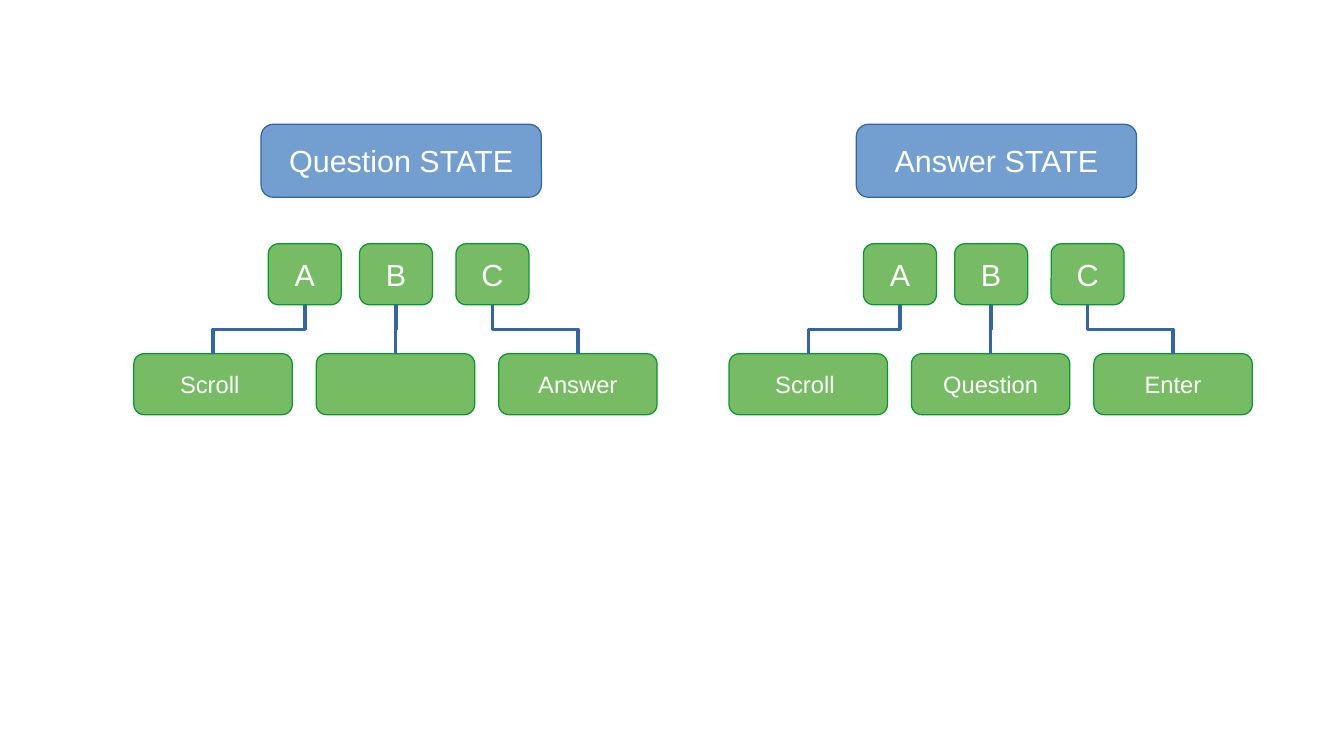
from pptx import Presentation
from pptx.dml.color import RGBColor as RGB
from pptx.enum.shapes import MSO_CONNECTOR as CONN, MSO_SHAPE as SHAPE
from pptx.enum.text import MSO_ANCHOR as ANCHOR, PP_ALIGN as ALIGN
from pptx.oxml.ns import qn
from pptx.util import Cm, Pt
from lxml import etree

COLORS = {
    "state": "729FCF",
    "state_line": "3465A4",
    "button": "77BC65",
    "button_line": "069A2E",
    "text": "FFFFFF",
}
BOTTOM, TOP = 2, 0  # connection sites of a rounded rectangle
STATE_GAP = 12.4
KEYS = {"A": 5.59, "B": 7.49, "C": 9.5}
ACTION_LEFT, ACTION_STEP = 2.79, 3.8
STATES = [
    ("Question STATE", ["Scroll ", "", "Answer"]),
    ("Answer STATE", ["Scroll ", "Question", "Enter"]),
]


def color(name):
    return RGB.from_string(COLORS[name])


def write(tf, text, size=18, font="Arial", fill="text", align=ALIGN.CENTER):
    tf.word_wrap = False
    tf.vertical_anchor = ANCHOR.MIDDLE
    p = tf.paragraphs[0]
    p.alignment = align
    r = p.add_run()
    r.text = text
    r.font.size = Pt(size)
    r.font.name = font
    r.font.color.rgb = color(fill)


class Diagram:
    """Holds the slide and the shared look of boxes and links."""

    def __init__(self, slide, line_width=0):
        self.slide = slide
        self.line_width = Pt(line_width)

    def outline(self, line, name):
        line.color.rgb = color(name)
        line.width = self.line_width

    def box(self, text, x, y, w, h, kind="button", **fmt):
        sp = self.slide.shapes.add_shape(
            SHAPE.ROUNDED_RECTANGLE, Cm(x), Cm(y), Cm(w), Cm(h))
        sp.shadow.inherit = False
        sp.fill.solid()
        sp.fill.fore_color.rgb = color(kind)
        self.outline(sp.line, kind + "_line")
        if text:
            write(sp.text_frame, text, **fmt)
        return sp

    def link(self, upper, lower):
        """Joins two boxes with an elbow that leaves and arrives vertically."""
        x1, y1 = upper.left + upper.width // 2, upper.top + upper.height
        x2, y2 = lower.left + lower.width // 2, lower.top
        cxn = self.slide.shapes.add_connector(CONN.ELBOW, x1, y1, x2, y2)
        cxn.begin_connect(upper, BOTTOM)
        cxn.end_connect(lower, TOP)
        # The frame lies on its side, so its width is the vertical drop.
        cxn.width, cxn.height = y2 - y1, abs(x2 - x1)
        cxn.left = (x1 + x2 - cxn.width) // 2
        cxn.top = (y1 + y2 - cxn.height) // 2
        spPr = cxn.element.spPr
        to_right = x2 > x1
        spPr.xfrm.rot = 270 if to_right else 90
        spPr.xfrm.flipH = to_right
        spPr.xfrm.flipV = False
        self.outline(cxn.line, "state_line")
        etree.SubElement(spPr, qn("a:effectLst"))

    def state(self, title, actions, dx):
        self.box(title, 5.44 + dx, 2.59, 5.84, 1.52, kind="state")
        for i, ((key, x), action) in enumerate(zip(KEYS.items(), actions)):
            upper = self.box(key, x + dx, 5.08, 1.52, 1.27)
            lower = self.box(action, ACTION_LEFT + i * ACTION_STEP + dx,
                             7.37, 3.3, 1.27, size=14)
            self.link(upper, lower)


def main():
    prs = Presentation()
    prs.slide_width, prs.slide_height = Cm(28), Cm(15.75)
    diagram = Diagram(prs.slides.add_slide(prs.slide_layouts[6]))
    for i, (title, actions) in enumerate(STATES):
        diagram.state(title, actions, i * STATE_GAP)
    prs.save("out.pptx")


if __name__ == "__main__":
    main()
